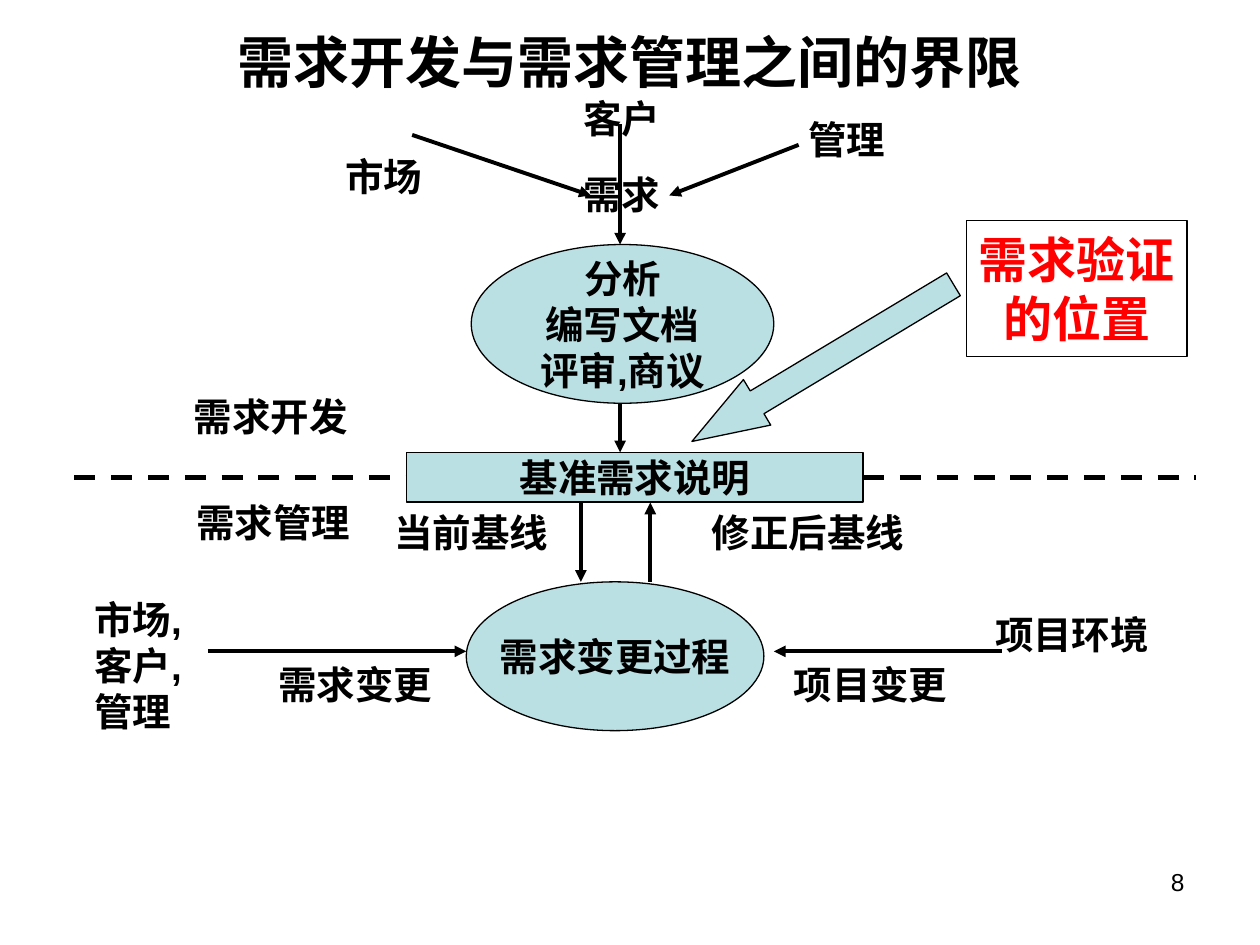
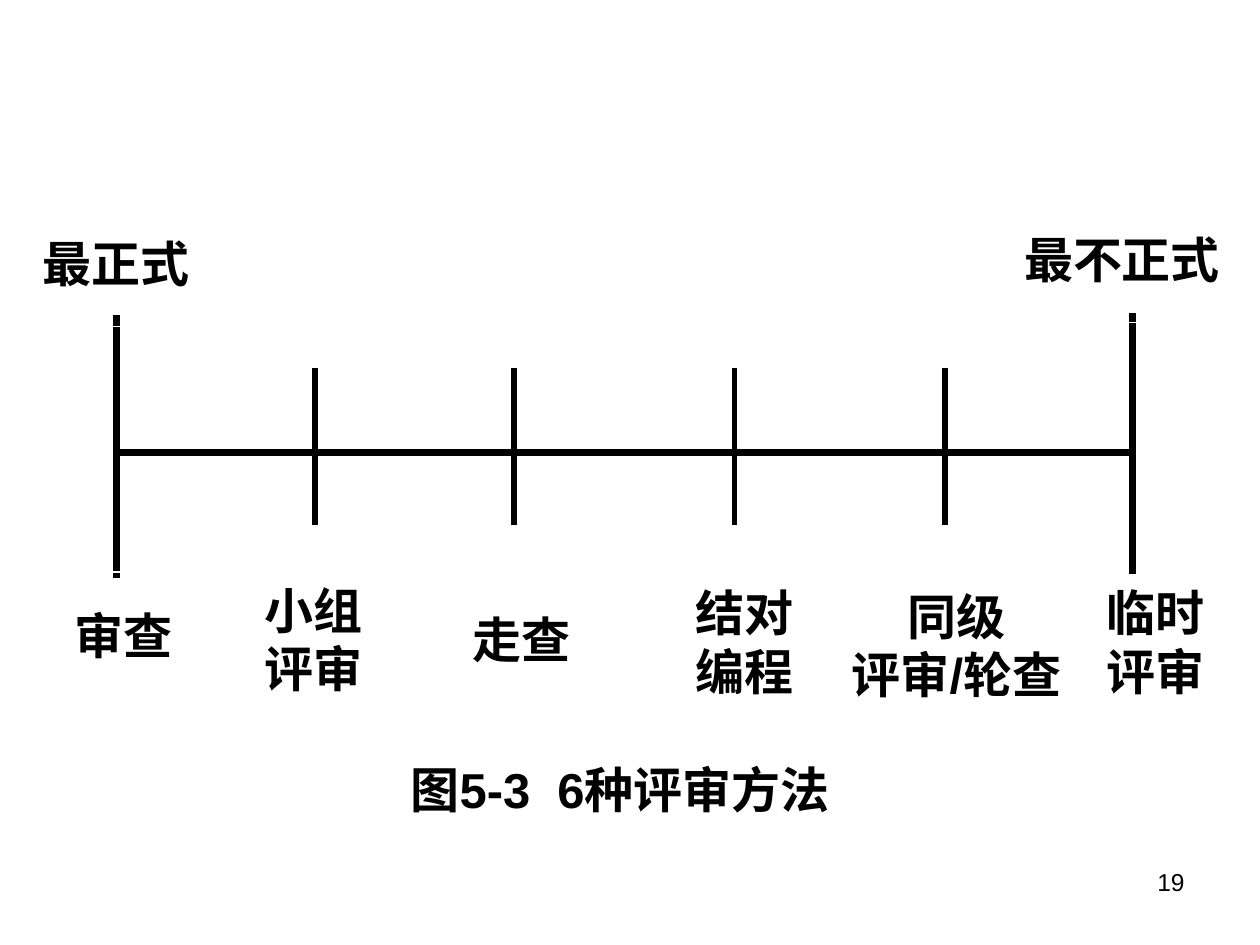
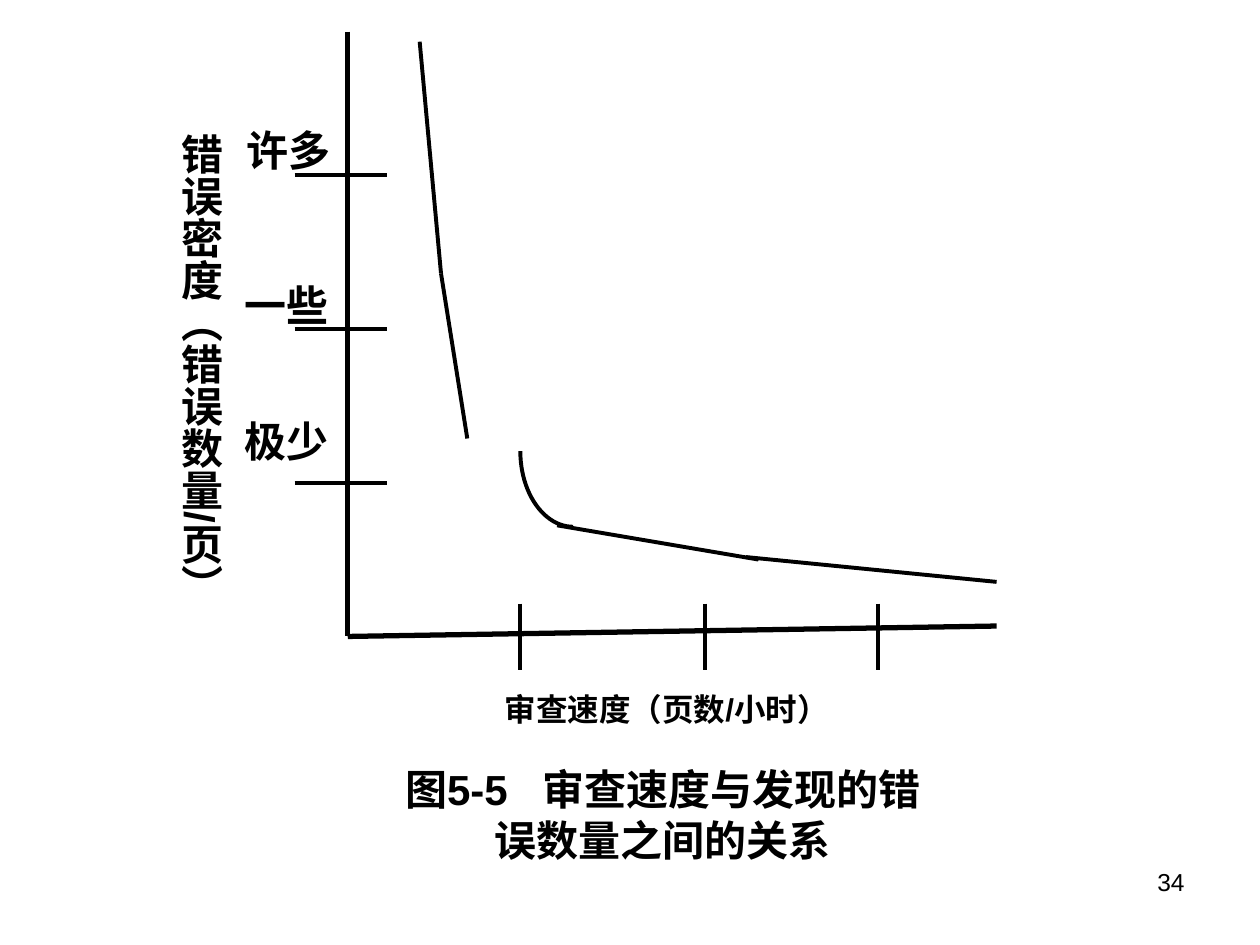
from dataclasses import dataclass
from typing import Any

from pptx import Presentation
from pptx.dml.color import RGBColor
from pptx.enum.dml import MSO_LINE
from pptx.enum.shapes import MSO_CONNECTOR, MSO_SHAPE
from pptx.enum.text import MSO_ANCHOR, MSO_AUTO_SIZE, PP_ALIGN
from pptx.oxml.ns import qn
from pptx.util import Cm, Pt
from lxml.etree import SubElement

BLACK = RGBColor(0x00, 0x00, 0x00)
WHITE = RGBColor(0xFF, 0xFF, 0xFF)
RED = RGBColor(0xFF, 0x00, 0x00)
PALE_TEAL = RGBColor(0xBB, 0xE0, 0xE3)
FONT = "Arial"
CM_PER_POINT = 2.54 / 72


def write_text(shape, text, size=22, bold=True, color=BLACK, align=PP_ALIGN.LEFT,
               anchor=MSO_ANCHOR.TOP, wrap=False):
    """Write one paragraph per line of text into a shape with one format."""
    frame = shape.text_frame
    frame.text = text
    frame.word_wrap = wrap
    frame.vertical_anchor = anchor
    for paragraph in frame.paragraphs:
        paragraph.alignment = align
        font = paragraph.runs[0].font
        font.name = FONT
        font.size = Pt(size)
        font.bold = bold
        font.color.rgb = color


@dataclass
class Region:
    """A part of a slide whose contents are placed from its top left corner in cm."""

    slide: Any
    left: float
    top: float

    def box(self, x, y, width, height):
        """Turn a box relative to the region into slide lengths."""
        return Cm(self.left + x), Cm(self.top + y), Cm(width), Cm(height)

    def text(self, x, y, width, height, text, **text_format):
        """Add a text box."""
        text_box = self.slide.shapes.add_textbox(*self.box(x, y, width, height))
        write_text(text_box, text, **text_format)
        return text_box

    def label(self, x, y, text, size=22, width=None):
        """Add an unwrapped label, sized from its text."""
        lines = text.split("\n")
        width = width or max(map(len, lines)) * size * CM_PER_POINT + 0.51
        height = len(lines) * size * CM_PER_POINT * 1.2 + 0.25
        label = self.text(x, y, width, height, text, size=size)
        label.text_frame.auto_size = MSO_AUTO_SIZE.SHAPE_TO_FIT_TEXT
        return label

    def shape(self, kind, x, y, width, height, text="", fill=PALE_TEAL, line=BLACK,
              line_width=0.75, **text_format):
        """Add a preset shape with centred text."""
        shape = self.slide.shapes.add_shape(kind, *self.box(x, y, width, height))
        shape.shadow.inherit = False
        if fill is None:
            shape.fill.background()
        else:
            shape.fill.solid()
            shape.fill.fore_color.rgb = fill
        shape.line.color.rgb = line
        shape.line.width = Pt(line_width)
        if text:
            write_text(shape, text, align=PP_ALIGN.CENTER, anchor=MSO_ANCHOR.MIDDLE,
                       **text_format)
        return shape

    def line(self, start, end, width=2.25, arrow=False):
        """Add a straight black line, with an arrowhead at its end if asked."""
        (x1, y1), (x2, y2) = start, end
        connector = self.slide.shapes.add_connector(
            MSO_CONNECTOR.STRAIGHT, Cm(self.left + x1), Cm(self.top + y1),
            Cm(self.left + x2), Cm(self.top + y2))
        connector.line.color.rgb = BLACK
        connector.line.width = Pt(width)
        if arrow:
            SubElement(connector.line._get_or_add_ln(), qn("a:tailEnd"), type="triangle")
        SubElement(connector._element.spPr, qn("a:effectLst"))
        return connector


def add_numbered_slide(presentation, number):
    """Add a blank slide with its page number."""
    slide = presentation.slides.add_slide(presentation.slide_layouts[6])
    Region(slide, 18.21, 17.35).text(0, 0, 5.92, 1.32, str(number), size=14, bold=False,
                                     align=PP_ALIGN.RIGHT, wrap=True)
    return slide


def add_title(region, text):
    """Add the slide title."""
    region.text(0, 0, 21.6, 1.4, text, size=32, align=PP_ALIGN.CENTER,
                anchor=MSO_ANCHOR.MIDDLE, wrap=True)


def add_development(region):
    """Draw the sources of requirements, their analysis and the validation note."""
    region.shape(MSO_SHAPE.OVAL, 6.5, 3.13, 6.1, 3.2, "分析\n编写文档\n评审,商议")
    for start, end in (
        ((5.31, 0.92), (8.91, 2.14)),
        ((9.5, 0.71), (9.5, 3.13)),
        ((13.1, 1.12), (10.49, 2.14)),
        ((9.5, 6.33), (9.5, 7.32)),
    ):
        region.line(start, end, arrow=True)
    for x, y, text in ((3.71, 1.15, "市场"), (8.51, 0, "客户"),
                       (8.51, 1.53, "需求"), (13.05, 0.41, "管理")):
        region.label(x, y, text)
    region.shape(MSO_SHAPE.RECTANGLE, 16.48, 2.65, 4.45, 2.74, "需求验证\n的位置",
                 fill=WHITE, size=28, color=RED)
    pointer = region.shape(MSO_SHAPE.RIGHT_ARROW, 10.51, 4.98, 6.15, 1.07)
    pointer.rotation = 149
    pointer.adjustments[1] = 1.43


def add_boundary(region):
    """Draw the baseline box and the dashed border on both sides of it."""
    baseline = region.shape(MSO_SHAPE.RECTANGLE, 6.7, 1.32, 9.2, 1, "基准需求说明")
    left_border = region.line((0, 1.82), (6.7, 1.82), width=3)
    left_border.end_connect(baseline, 1)
    right_border = region.line((15.9, 1.82), (22.6, 1.82), width=3)
    right_border.begin_connect(baseline, 3)
    for border in (left_border, right_border):
        border.line.dash_style = MSO_LINE.DASH
    region.label(2.16, 0, "需求开发")
    region.label(2.21, 2.13, "需求管理")


def add_management(region):
    """Draw the change process and what flows in and out of it."""
    region.shape(MSO_SHAPE.OVAL, 7.9, 1.6, 6, 3, "需求变更过程")
    for start, end in (
        ((10.21, 0), (10.21, 1.6)),
        ((11.61, 1.6), (11.61, 0)),
        ((2.69, 3), (7.9, 3)),
        ((18.69, 3), (14.1, 3)),
    ):
        region.line(start, end, arrow=True)
    for x, y, text in ((6.2, 0, "当前基线"), (12.6, 0, "修正后基线"),
                       (3.86, 3.08, "需求变更"), (14.25, 3.08, "项目变更"),
                       (18.31, 2.06, "项目环境")):
        region.label(x, y, text)
    region.label(0.15, 1.76, "市场,\n客户,\n管理", width=2.46)


def add_review_scale(region):
    """Draw the scale of review methods from formal to informal."""
    def add_caption(center, top, width, text):
        region.shape(MSO_SHAPE.RECTANGLE, center - width / 2, top, width, 2.54, text,
                     fill=None, line=WHITE, size=28)

    region.line((1.34, 5.12), (21.86, 5.12), width=4)
    for x, top, bottom in ((1.34, 2.35, 7.66), (21.83, 2.3, 7.58)):
        region.line((x, top), (x, bottom), width=4)
    for x in (5.35, 9.36, 13.81, 18.05):
        region.line((x, 3.42), (x, 6.59), width=3)
    add_caption(1.34, 0.04, 2.54, "最正式")
    add_caption(21.62, -0.04, 3.78, "最不正式")
    for center, top, text in (
        (1.49, 7.53, "审查"), (5.32, 7.61, "小组\n评审"), (9.52, 7.61, "走查"),
        (14.01, 7.66, "结对\n编程"), (18.28, 7.73, "同级\n评审/轮查"),
        (22.29, 7.66, "临时\n评审"),
    ):
        add_caption(center, top, 2.54, text)
    add_caption(11.5, 10.64, 8.9, "图5-3  6种评审方法")


def add_axes(region):
    """Draw both axes with their ticks and labels."""
    origin = (4.01, 12.23)
    region.line((4.01, 0.04), origin, width=3)
    region.line(origin, (17.09, 12.02), width=3)
    for index in range(3):
        y = 2.93 + 3.1 * index
        region.line((2.94, y), (4.8, y))
    for x in (7.49, 11.22, 14.7):
        region.line((x, 11.57), (x, 12.91))
    for x, y, text in ((1.72, 1.79, "许多"), (1.67, 4.91, "一些"), (1.67, 7.66, "极少")):
        region.label(x, y, text, size=24)
    density = region.text(0.18, 1.84, 1.52, 10.21, "错误密度（错误数量/页）", size=24)
    frame = density.text_frame
    frame.margin_left = frame.margin_right = Cm(0.13)
    frame.margin_top = frame.margin_bottom = Cm(0.25)
    frame._txBody.bodyPr.set("vert", "eaVert")
    region.label(6.93, 13.19, "审查速度（页数/小时）", size=18, width=7.34)


def add_error_curve(region):
    """Draw the falling curve from straight pieces and an arc."""
    for start, end in (
        ((5.46, 0.24), (5.89, 4.91)),
        ((5.89, 4.91), (6.42, 8.24)),
        ((8.23, 9.99), (12.29, 10.68)),
        ((12.04, 10.63), (17.09, 11.13)),
    ):
        region.line(start, end)
    bend = region.shape(MSO_SHAPE.ARC, 7.49, 6.97, 2.13, 3.05, fill=None, line_width=2.25)
    bend.adjustments[0] = 54
    bend.adjustments[1] = 108


def main():
    """Build the three slides and save them."""
    presentation = Presentation()
    presentation.slide_width = Cm(25.4)
    presentation.slide_height = Cm(19.05)

    slide = add_numbered_slide(presentation, 8)
    add_title(Region(slide, 1.9, 0.53), "需求开发与需求管理之间的界限")
    add_development(Region(slide, 3, 1.8))
    add_boundary(Region(slide, 1.5, 7.8))
    add_management(Region(slide, 1.5, 10.13))

    slide = add_numbered_slide(presentation, 19)
    add_review_scale(Region(slide, 1, 4))

    slide = add_numbered_slide(presentation, 34)
    plot = Region(slide, 3, 0.6)
    add_axes(plot)
    add_error_curve(plot)
    Region(slide, 7.8, 15.27).text(0, 0, 11.13, 2.29, "图5-5   审查速度与发现的错误数量之间的关系",
                                   size=24, align=PP_ALIGN.CENTER, wrap=True)

    presentation.save("out.pptx")


if __name__ == "__main__":
    main()
